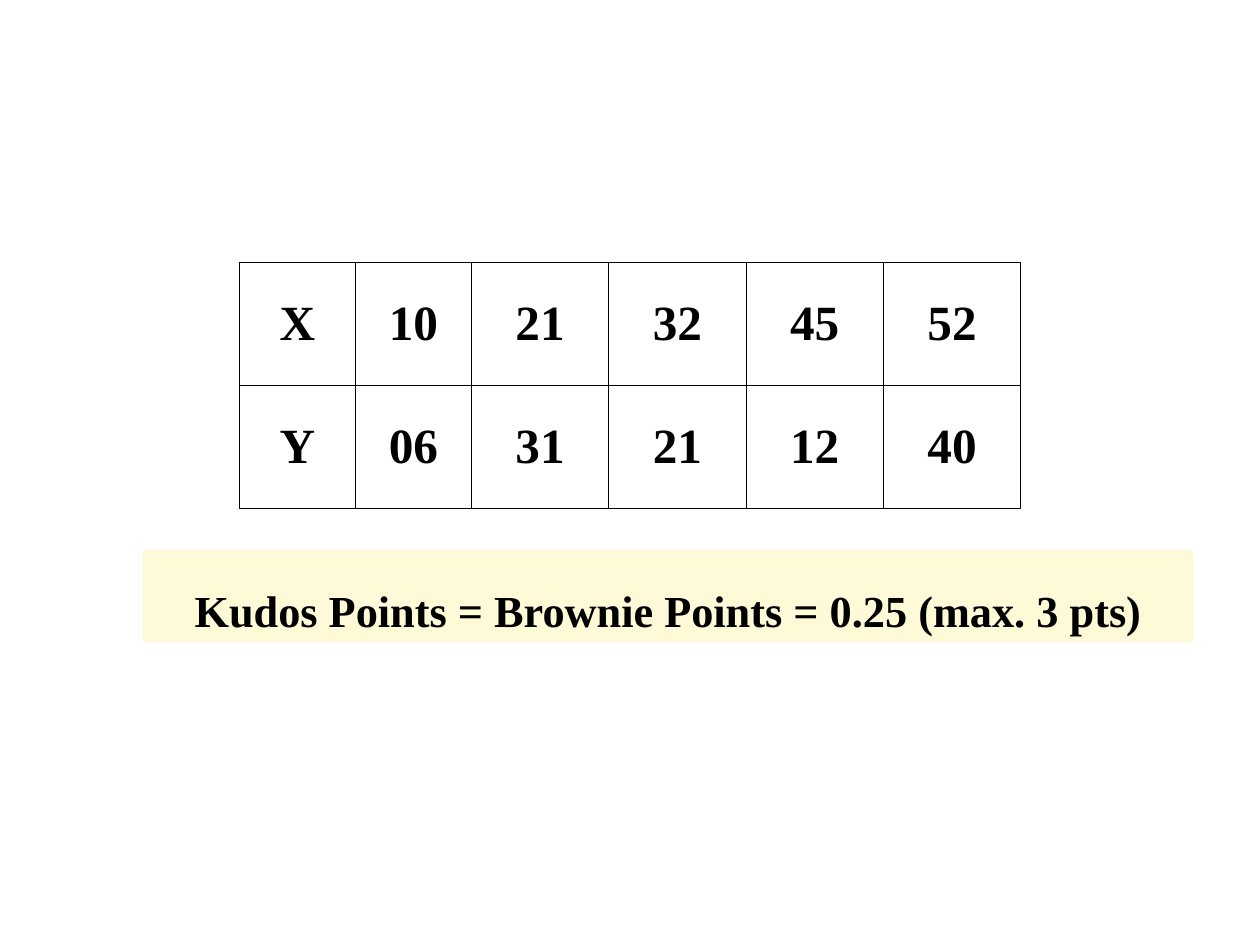
"""Builds a slide with a table of X and Y values above a note on kudos points."""
import lxml.etree
import pptx
import pptx.dml.color
import pptx.enum.shapes
import pptx.enum.text
import pptx.oxml.ns
import pptx.util

PX = 9144
THEME = {
    "font": "Times New Roman",
    "ink": pptx.dml.color.RGBColor.from_string("000000"),
    "note_fill": pptx.dml.color.RGBColor.from_string("FEF9D6"),
    "cell_size": 40,
    "note_size": 36,
    "border_width": 1,
}
VALUES = [
    ["X", "10", "21", "32", "45", "52"],
    ["Y", "06", "31", "21", "12", "40"],
]
COL_WIDTHS = [131] * 2 + [155] * 4
ROW_HEIGHT = 139


def write_text(tf, text, *, size, spacing=1.0):
    p = tf.paragraphs[0]
    p.alignment = pptx.enum.text.PP_ALIGN.CENTER
    p.line_spacing = spacing
    r = p.add_run()
    r.text = text
    r.font.name = THEME["font"]
    r.font.size = pptx.util.Pt(size)
    r.font.bold = True
    r.font.color.rgb = THEME["ink"]


def add_borders(cell):
    tc_pr = cell._tc.get_or_add_tcPr()
    qn = pptx.oxml.ns.qn
    for i, side in enumerate(("a:lnL", "a:lnR", "a:lnT", "a:lnB")):
        ln = lxml.etree.Element(qn(side), w=str(pptx.util.Pt(THEME["border_width"])))
        fill = lxml.etree.SubElement(ln, qn("a:solidFill"))
        lxml.etree.SubElement(fill, qn("a:srgbClr"), val=str(THEME["ink"]))
        tc_pr.insert(i, ln)


prs = pptx.Presentation()
prs.slide_width = 1422 * PX
prs.slide_height = 1067 * PX
s = prs.slides.add_slide(prs.slide_layouts[6])

table = s.shapes.add_table(
    len(VALUES), len(COL_WIDTHS), 270 * PX, 296 * PX,
    sum(COL_WIDTHS) * PX, len(VALUES) * ROW_HEIGHT * PX,
).table
table.first_row = False
table.horz_banding = False
for col, width in zip(table.columns, COL_WIDTHS):
    col.width = width * PX
for row, texts in zip(table.rows, VALUES):
    row.height = ROW_HEIGHT * PX
    for cell, text in zip(row.cells, texts):
        cell.fill.background()
        cell.vertical_anchor = pptx.enum.text.MSO_ANCHOR.MIDDLE
        add_borders(cell)
        write_text(cell.text_frame, text, size=THEME["cell_size"])

note = s.shapes.add_shape(
    pptx.enum.shapes.MSO_SHAPE.RECTANGLE, 161 * PX, 621 * PX, 1186 * PX, 104 * PX
)
note.shadow.inherit = False
note.fill.solid()
note.fill.fore_color.rgb = THEME["note_fill"]
note.line.fill.background()
tf = note.text_frame
tf.word_wrap = True
tf.vertical_anchor = pptx.enum.text.MSO_ANCHOR.MIDDLE
tf.margin_left = tf.margin_right = tf.margin_top = tf.margin_bottom = 6 * PX
write_text(
    tf, "Kudos Points = Brownie Points = 0.25 (max. 3 pts)",
    size=THEME["note_size"], spacing=1.5,
)

prs.save("out.pptx")
